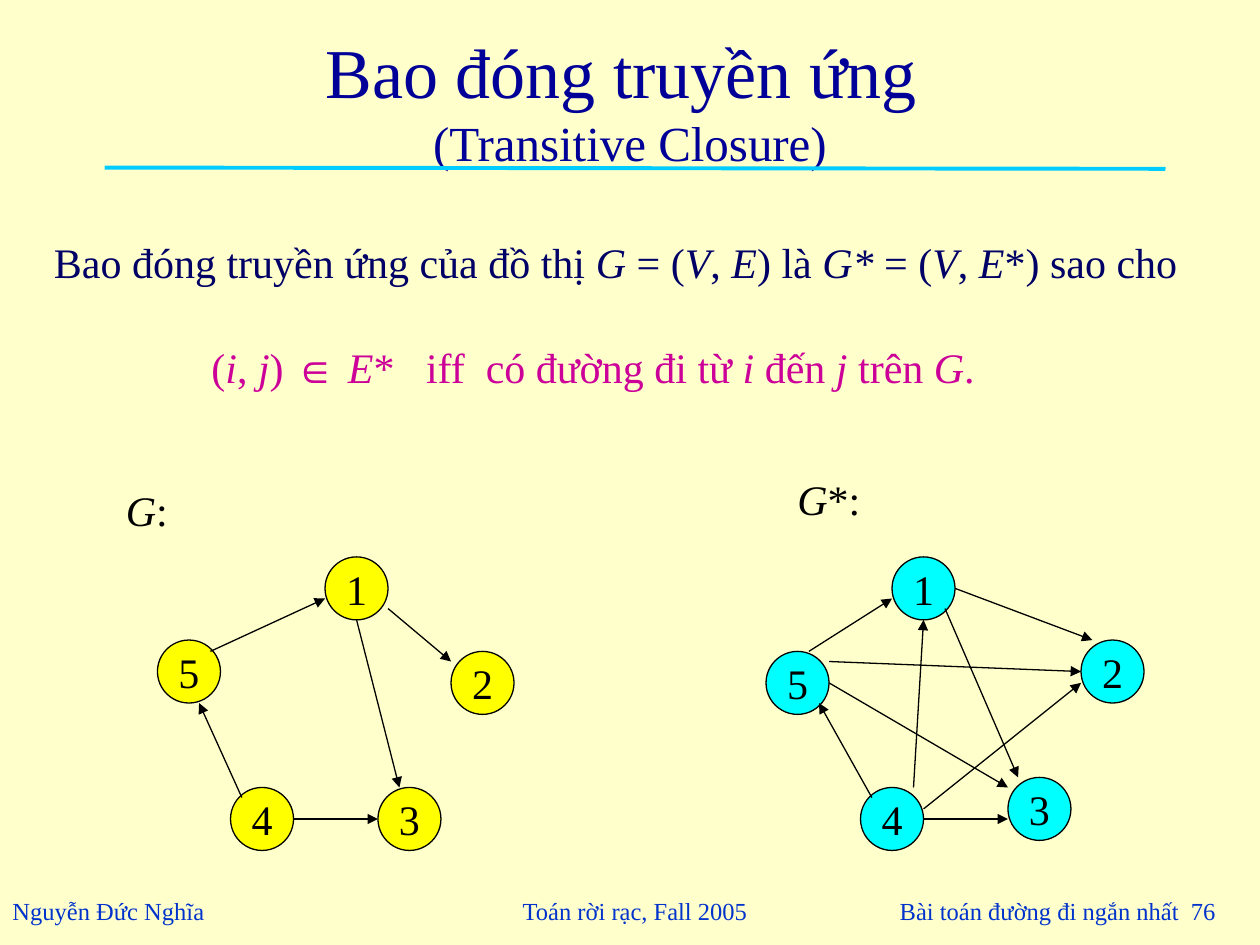
"""Build a slide on the transitive closure of a graph."""
from dataclasses import dataclass

from lxml import etree
from pptx import Presentation
from pptx.dml.color import RGBColor
from pptx.enum.shapes import MSO_CONNECTOR, MSO_SHAPE
from pptx.enum.text import MSO_ANCHOR, MSO_AUTO_SIZE, PP_ALIGN
from pptx.oxml.ns import qn
from pptx.util import Inches, Pt

LEFT, CENTER, RIGHT = PP_ALIGN.LEFT, PP_ALIGN.CENTER, PP_ALIGN.RIGHT
TOP, MIDDLE = MSO_ANCHOR.TOP, MSO_ANCHOR.MIDDLE
FIXED = MSO_AUTO_SIZE.NONE
OVAL, STRAIGHT = MSO_SHAPE.OVAL, MSO_CONNECTOR.STRAIGHT

COLORS = {
    "paper": "FFFFCC", "title": "000099", "body": "000066", "claim": "CC0099",
    "foot": "0033CC", "ink": "000000", "rule": "00CCFF",
    "graph": "FFFF00", "closure": "00FFFF",
}
SERIF, SANS = "Times New Roman", "Arial"
NODE = 0.5


@dataclass
class Label:
    """Text box whose italic parts stand between underscores."""
    text: str
    box: tuple
    color: str
    size: int = 24
    align: PP_ALIGN = LEFT
    anchor: MSO_ANCHOR = TOP


@dataclass
class Graph:
    """Node corners by name, and arrows as start and end points."""
    fill: str
    nodes: dict
    edges: list


LABELS = [
    Label("Nguyễn Đức Nghĩa", (0, 7.06, 1.78, 0.34), "foot", 14),
    Label("Toán rời rạc, Fall 2005", (4, 6.98, 2.08, 0.5), "foot", 14,
          CENTER, MIDDLE),
    Label("Bài toán đường đi ngắn nhất  76", (8.75, 7.02, 1, 0.42), "foot", 14,
          RIGHT, MIDDLE),
    Label("Bao đóng truyền ứng của đồ thị _G _= (_V_,_ E_) là _G* _= (_V_, _E_*) sao cho",
          (0.33, 1.83, 9.2, 0.5), "body"),
    Label("(_i_, _j_) __∈ _E_*   iff  có đường đi từ _i _đến _j _trên_ G_.",
          (1.58, 2.66, 6.4, 0.5), "claim"),
    Label("_G_:", (0.9, 3.8, 0.61, 0.5), "ink"),
    Label("_G_*:", (6.23, 3.71, 0.7, 0.5), "ink"),
]

GRAPHS = [
    Graph("graph",
          {"5": (1.25, 5.08), "3": (3, 6.25), "4": (1.83, 6.25),
           "2": (3.58, 5.17), "1": (2.58, 4.42)},
          [(2.83, 4.92, 3.17, 6.25), (3.08, 4.83, 3.58, 5.25),
           (2.33, 6.5, 3, 6.5), (1.92, 6.33, 1.58, 5.58),
           (1.67, 5.17, 2.58, 4.75)]),
    Graph("closure",
          {"1": (7.08, 4.42), "3": (8, 6.17), "4": (6.83, 6.25),
           "2": (8.58, 5.08), "5": (6.08, 5.17)},
          [(7.5, 4.83, 8.08, 6.17), (6.42, 5.17, 7.08, 4.75),
           (7.25, 6.25, 7.33, 4.92), (6.58, 5.42, 8, 6.25),
           (6.92, 6.33, 6.5, 5.58), (7.33, 6.42, 8.58, 5.42),
           (7.58, 4.67, 8.67, 5.08), (6.58, 5.25, 8.58, 5.33),
           (7.33, 6.5, 8, 6.5)]),
]


def shade(name: str) -> RGBColor:
    return RGBColor.from_string(COLORS[name])


def apply(target, values: dict) -> None:
    for name, value in values.items():
        setattr(target, name, value)


def add_run(para, text: str, size: int, color: str, italic: bool = False) -> None:
    run = para.add_run()
    run.text = text
    face = SANS if "∈" in text else SERIF
    apply(run.font, {"name": face, "size": Pt(size), "italic": italic})
    run.font.color.rgb = shade(color)


def add_title(slide) -> None:
    title = slide.shapes.title
    apply(title, {"left": Inches(0.75), "top": Inches(0.17),
                  "width": Inches(8.5), "height": Inches(1.25)})
    apply(title.text_frame, {"auto_size": FIXED, "vertical_anchor": MIDDLE})
    para = title.text_frame.paragraphs[0]
    para.alignment = CENTER
    add_run(para, "Bao đóng truyền ứng ", 40, "title")
    para.add_line_break()
    add_run(para, "(Transitive Closure)", 28, "title")


def add_label(slide, label: Label) -> None:
    box = slide.shapes.add_textbox(*map(Inches, label.box))
    apply(box.text_frame, {"word_wrap": False, "auto_size": FIXED,
                           "vertical_anchor": label.anchor})
    para = box.text_frame.paragraphs[0]
    para.alignment = label.align
    for index, part in enumerate(label.text.split("_")):
        if part:
            add_run(para, part, label.size, label.color, index % 2 == 1)


def add_node(slide, name: str, spot: tuple, fill: str) -> None:
    node = slide.shapes.add_shape(OVAL, *map(Inches, (*spot, NODE, NODE)))
    node.shadow.inherit = False
    node.fill.solid()
    node.fill.fore_color.rgb = shade(fill)
    node.line.color.rgb = shade("ink")
    node.line.width = Pt(0.75)
    apply(node.text_frame, {"word_wrap": False, "vertical_anchor": MIDDLE})
    para = node.text_frame.paragraphs[0]
    para.alignment = CENTER
    add_run(para, name, 24, "ink")


def add_line(slide, ends: tuple, color: str, width: float, arrow: bool) -> None:
    line = slide.shapes.add_connector(STRAIGHT, *map(Inches, ends))
    line.line.color.rgb = shade(color)
    line.line.width = Pt(width)
    props = line._element.spPr
    if arrow:
        etree.SubElement(props.find(qn("a:ln")), qn("a:tailEnd"), type="triangle")
    etree.SubElement(props, qn("a:effectLst"))


def add_graph(slide, graph: Graph) -> None:
    for name, spot in graph.nodes.items():
        add_node(slide, name, spot, graph.fill)
    for ends in graph.edges:
        add_line(slide, ends, "ink", 0.75, True)


def main() -> None:
    deck = Presentation()
    apply(deck, {"slide_width": Inches(10), "slide_height": Inches(7.5)})
    slide = deck.slides.add_slide(deck.slide_layouts[5])
    slide.background.fill.solid()
    slide.background.fill.fore_color.rgb = shade("paper")
    add_title(slide)
    for label in LABELS:
        add_label(slide, label)
    for graph in GRAPHS:
        add_graph(slide, graph)
    add_line(slide, (0.83, 1.33, 9.25, 1.34), "rule", 2.25, False)
    deck.save("out.pptx")


if __name__ == "__main__":
    main()
